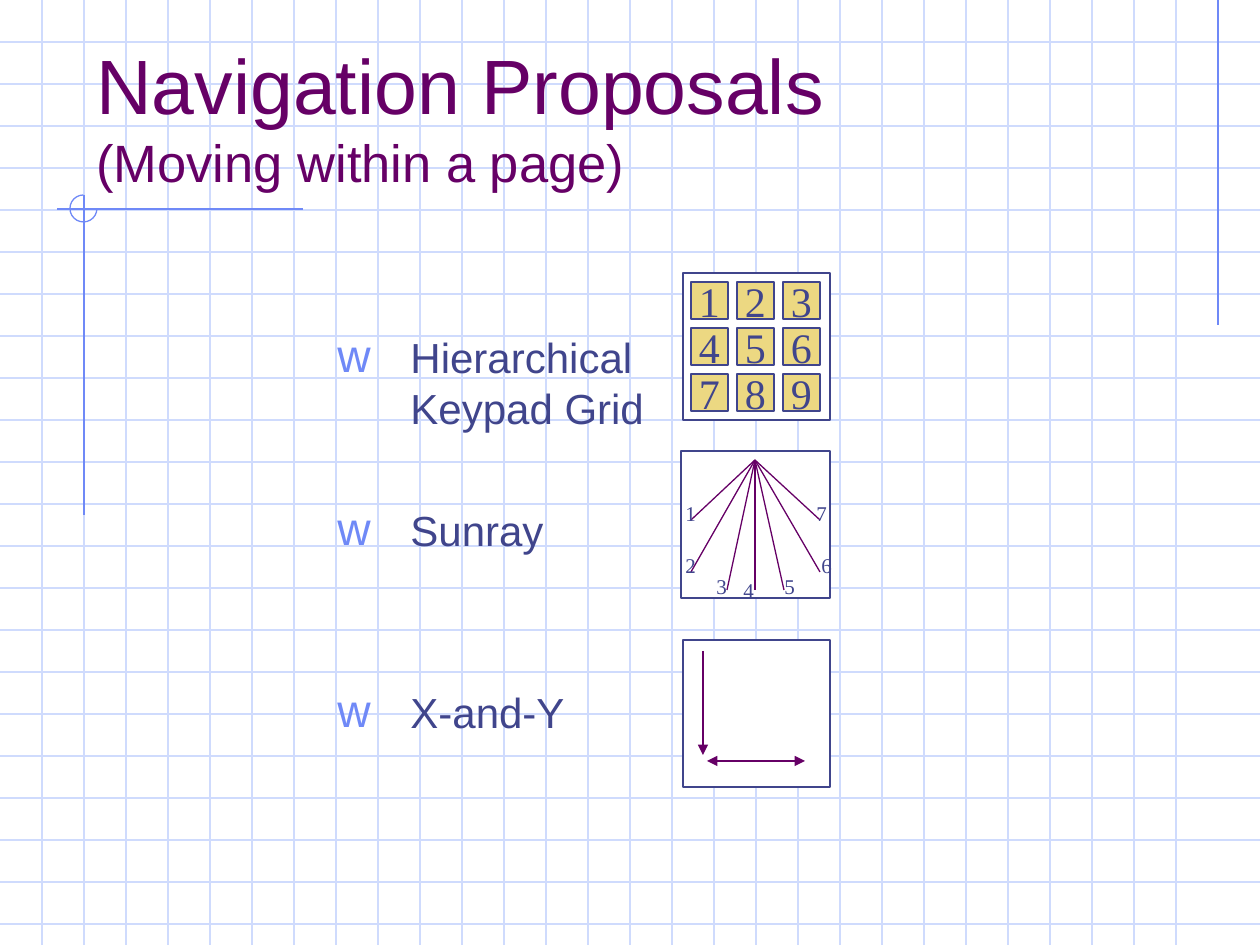
from lxml.etree import SubElement
from pptx import Presentation
from pptx.dml.color import RGBColor
from pptx.enum.shapes import MSO_CONNECTOR, MSO_SHAPE
from pptx.enum.text import MSO_ANCHOR, PP_ALIGN
from pptx.oxml.ns import qn
from pptx.util import Emu, Pt

# Content: text, size in points, space before in points
TITLE = [("Navigation Proposals", 44, 0), ("(Moving within a page)", 30, 0)]
PROPOSALS = [("Hierarchical\vKeypad Grid", 24, 0), ("Sunray", 24, 41), ("X-and-Y", 24, 75)]
KEYS = "123456789"
# Sunray: label, label corner, ray end
RAYS = [
    ("1", (673, 494), (691, 520)),
    ("2", (673, 546), (691, 572)),
    ("3", (704, 567), (727, 590)),
    ("4", (731, 571), (755, 590)),
    ("5", (772, 567), (784, 590)),
    ("6", (809, 546), (820, 572)),
    ("7", (804, 494), (820, 520)),
]
SUN = (755, 460)

WIDTH, HEIGHT, GRID_STEP = 1260, 945, 42
GRID, ACCENT, PURPLE, NAVY = "CFDBFD", "6F89F7", "660066", "40458C"
GOLD, WHITE = "ECD882", "FFFFFF"
SANS, SERIF = "Arial", "Times New Roman"


def px(value):
    return Emu(round(value * 914400 / 126))


def color(value):
    return RGBColor.from_string(value)


def add_line(start, end, stroke, head=False, tail=False):
    line = slide.shapes.add_connector(MSO_CONNECTOR.STRAIGHT, *map(px, start + end))
    line.line.color.rgb = color(stroke)
    line.line.width = Pt(0.75)
    properties = line._element.spPr
    for name, wanted in (("a:headEnd", head), ("a:tailEnd", tail)):
        if wanted:
            SubElement(properties.find(qn("a:ln")), qn(name), type="triangle")
    SubElement(properties, qn("a:effectLst"))


def add_box(kind, left, top, width, height, fill=None, stroke=NAVY):
    shape = slide.shapes.add_shape(kind, *map(px, (left, top, width, height)))
    shape.shadow.inherit = False
    if fill:
        shape.fill.solid()
        shape.fill.fore_color.rgb = color(fill)
    else:
        shape.fill.background()
    shape.line.color.rgb = color(stroke)
    shape.line.width = Pt(0.75)
    return shape


def add_textbox(left, top, width, height):
    return slide.shapes.add_textbox(*map(px, (left, top, width, height)))


def write(shape, paragraphs, font=SERIF, ink=NAVY, align=PP_ALIGN.LEFT,
          anchor=MSO_ANCHOR.TOP, wrap=False, spacing=None, bullet=None):
    frame = shape.text_frame
    frame.word_wrap = wrap
    frame.vertical_anchor = anchor
    for index, (text, size, before) in enumerate(paragraphs):
        paragraph = frame.add_paragraph() if index else frame.paragraphs[0]
        paragraph.text = text
        paragraph.alignment = align
        paragraph.space_before = Pt(before)
        if spacing:
            paragraph.line_spacing = Pt(spacing)
        if bullet:
            add_bullet(paragraph, bullet)
        for run in paragraph.runs:
            run.font.size = Pt(size)
            run.font.name = font
            run.font.color.rgb = color(ink)


def add_bullet(paragraph, character):
    properties = paragraph._p.get_or_add_pPr()
    properties.set("marL", str(px(73)))
    properties.set("indent", str(-px(73)))
    bullet_color = SubElement(properties, qn("a:buClr"))
    SubElement(bullet_color, qn("a:srgbClr"), val=ACCENT)
    SubElement(properties, qn("a:buSzPct"), val="110000")
    SubElement(properties, qn("a:buFont"), typeface=SANS)
    SubElement(properties, qn("a:buChar"), char=character)


presentation = Presentation()
presentation.slide_width, presentation.slide_height = px(WIDTH), px(HEIGHT)
slide = presentation.slides.add_slide(presentation.slide_layouts[6])

# Background grid
for y in range(GRID_STEP, HEIGHT, GRID_STEP):
    add_line((0, y), (WIDTH, y), GRID)
for x in range(GRID_STEP, WIDTH - GRID_STEP, GRID_STEP):
    add_line((x, 0), (x, HEIGHT), GRID)

# Accent lines and open circle
add_line((1218, 0), (1218, 325), ACCENT)
add_line((303, 209), (57, 209), ACCENT)
add_line((84, 195), (84, 515), ACCENT)
arc = add_box(MSO_SHAPE.ARC, 70, 195, 27, 27, stroke=ACCENT)
arc.adjustments[0], arc.adjustments[1] = 0, 162  # 0 to 270 degrees

# Title and bullet list
write(add_textbox(84, 42, 1071, 157), TITLE, font=SANS, ink=PURPLE,
      anchor=MSO_ANCHOR.BOTTOM, wrap=True)
body = add_textbox(325, 262, 525, 567)
write(body, PROPOSALS, font=SANS, wrap=True, spacing=29, bullet="w")
body.text_frame.margin_top = px(69)

# Keypad
add_box(MSO_SHAPE.RECTANGLE, 683, 273, 147, 147, WHITE)
for index, key in enumerate(KEYS):
    row, column = divmod(index, 3)
    button = add_box(MSO_SHAPE.RECTANGLE, 691 + 46 * column, 282 + 46 * row, 37, 37, GOLD)
    write(button, [(key, 24, 0)], align=PP_ALIGN.CENTER, anchor=MSO_ANCHOR.MIDDLE)

# Sunray
add_box(MSO_SHAPE.RECTANGLE, 681, 451, 149, 147, WHITE)
for label, corner, end in RAYS:
    add_line(SUN, end, PURPLE)
    write(add_textbox(*corner, 35, 38), [(label, 12, 0)])

# X and Y axes
add_box(MSO_SHAPE.RECTANGLE, 683, 640, 147, 147, WHITE)
add_line((703, 651), (703, 755), PURPLE, tail=True)
add_line((707, 761), (805, 761), PURPLE, head=True, tail=True)

presentation.save("out.pptx")
